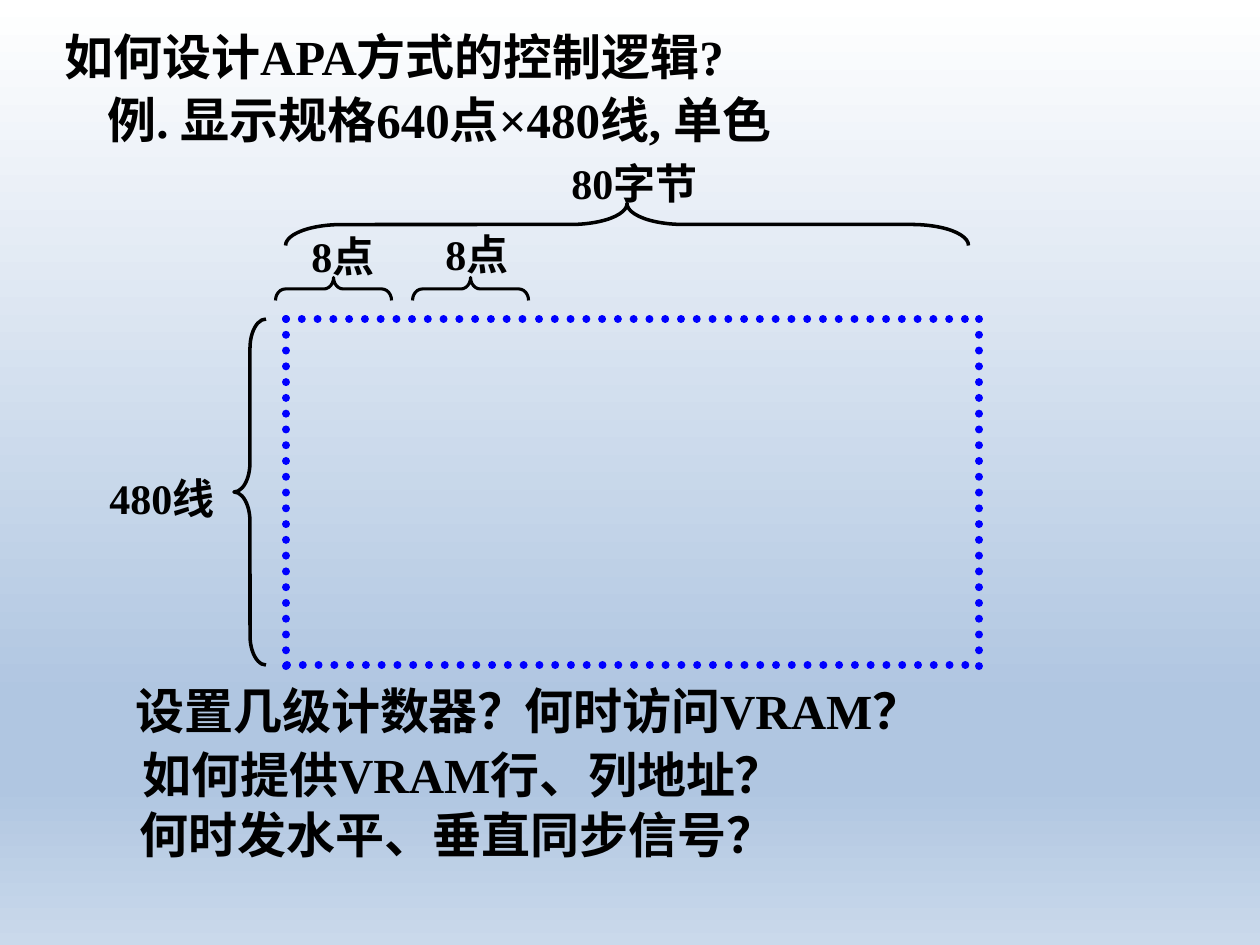
import copy
from dataclasses import dataclass

import pptx
import pptx.dml.color
import pptx.enum.dml
import pptx.enum.lang
import pptx.enum.shapes
import pptx.enum.text
import pptx.oxml.ns
import pptx.util
from lxml import etree

PX = 914400 / 126
FONT = "Times New Roman"
COLORS = {"ink": "000000", "dots": "0000FF", "top": "FFFFFF",
          "blue": "B0C6E1", "bottom": "CAD9EB"}
BACKGROUND = [(0, "top"), (0.74, "blue"), (0.83, "blue"), (1, "bottom")]


@dataclass
class Label:
    text: str
    left: int
    top: int
    width: int
    size: int


@dataclass
class Brace:
    left: int
    top: int
    width: int
    height: int
    curve: float
    weight: float = 2
    rotation: int = 0


@dataclass
class DottedLine:
    x1: int
    y1: int
    x2: int
    y2: int


# Screen frame: edges of the dotted display area
LEFT, RIGHT, TOP, BOTTOM = 286, 979, 319, 665
LINES = [
    DottedLine(LEFT, TOP, 402, TOP),
    DottedLine(412, TOP, 528, TOP),
    DottedLine(539, TOP, 969, TOP),
    DottedLine(LEFT + 1, BOTTOM, 969, BOTTOM),
    DottedLine(LEFT, TOP, LEFT, 677),
    DottedLine(RIGHT, TOP, RIGHT, 677),
]
BRACES = [
    Brace(322, 231, 23, 116, 0.42, 1.75, 90),
    Brace(459, 231, 23, 116, 0.42, 1.75, 90),
    Brace(606, -117, 42, 683, 1.35, rotation=90),
    Brace(234, TOP, 32, BOTTOM - TOP, 0.92),
]
LABELS = [
    Label("如何设计APA方式的控制逻辑?", 52, 20, 830, 28),
    Label("例. 显示规格640点×480线, 单色", 95, 83, 862, 28),
    Label("80字节", 559, 151, 221, 24),
    Label("8点", 299, 224, 98, 24),
    Label("8点", 433, 222, 103, 24),
    Label("480线", 97, 466, 168, 24),
    Label("设置几级计数器？", 123, 674, 473, 28),
    Label("何时访问VRAM？", 512, 674, 473, 28),
    Label("如何提供VRAM行、列地址？", 130, 738, 798, 28),
    Label("何时发水平、垂直同步信号？", 127, 798, 798, 28),
]


def px(length: int) -> pptx.util.Emu:
    return pptx.util.Emu(round(length * PX))


def color(name: str) -> pptx.dml.color.RGBColor:
    return pptx.dml.color.RGBColor.from_string(COLORS[name])


def paint_background(page) -> None:
    fill = page.background.fill
    fill.gradient()
    fill.gradient_angle = 270
    stop_list = next(page.element.iter(pptx.oxml.ns.qn("a:gsLst")))
    while len(stop_list) < len(BACKGROUND):
        stop_list.append(copy.deepcopy(stop_list[0]))
    for stop, (position, name) in zip(fill.gradient_stops, BACKGROUND):
        stop.position = position
        stop.color.rgb = color(name)


def write(para, text: str, *, size: int, name: str = "ink", bold: bool = True) -> None:
    span = para.add_run()
    span.text = text
    span.font.name = FONT
    span.font.size = pptx.util.Pt(size)
    span.font.bold = bold
    span.font.color.rgb = color(name)
    span.font.language_id = pptx.enum.lang.MSO_LANGUAGE_ID.SIMPLIFIED_CHINESE


def draw_label(page, label: Label) -> None:
    height = 72 if label.size == 28 else 63
    box = page.shapes.add_textbox(px(label.left), px(label.top), px(label.width), px(height))
    box.text_frame.word_wrap = True
    box.text_frame.auto_size = pptx.enum.text.MSO_AUTO_SIZE.SHAPE_TO_FIT_TEXT
    write(box.text_frame.paragraphs[0], label.text, size=label.size)


def draw_brace(page, brace: Brace) -> None:
    shape = page.shapes.add_shape(
        pptx.enum.shapes.MSO_SHAPE.LEFT_BRACE,
        px(brace.left), px(brace.top), px(brace.width), px(brace.height))
    shape.rotation = brace.rotation
    shape.adjustments[0] = brace.curve
    shape.shadow.inherit = False
    shape.fill.background()
    shape.line.color.rgb = color("ink")
    shape.line.width = pptx.util.Pt(brace.weight)


def draw_line(page, line: DottedLine) -> None:
    connector = page.shapes.add_connector(
        pptx.enum.shapes.MSO_CONNECTOR.STRAIGHT,
        px(line.x1), px(line.y1), px(line.x2), px(line.y2))
    connector.line.color.rgb = color("dots")
    connector.line.width = pptx.util.Pt(4.5)
    connector.line.dash_style = pptx.enum.dml.MSO_LINE.ROUND_DOT
    properties = connector.element.spPr
    properties.find(pptx.oxml.ns.qn("a:ln")).set("cap", "rnd")
    etree.SubElement(properties, pptx.oxml.ns.qn("a:effectLst"))


def main() -> None:
    deck = pptx.Presentation()
    deck.slide_width = px(1260)
    deck.slide_height = px(945)
    page = deck.slides.add_slide(deck.slide_layouts[6])
    paint_background(page)

    # Display area, its measures, then the wording
    for line in LINES:
        draw_line(page, line)
    for brace in BRACES:
        draw_brace(page, brace)
    for label in LABELS:
        draw_label(page, label)
    deck.save("out.pptx")


if __name__ == "__main__":
    main()
